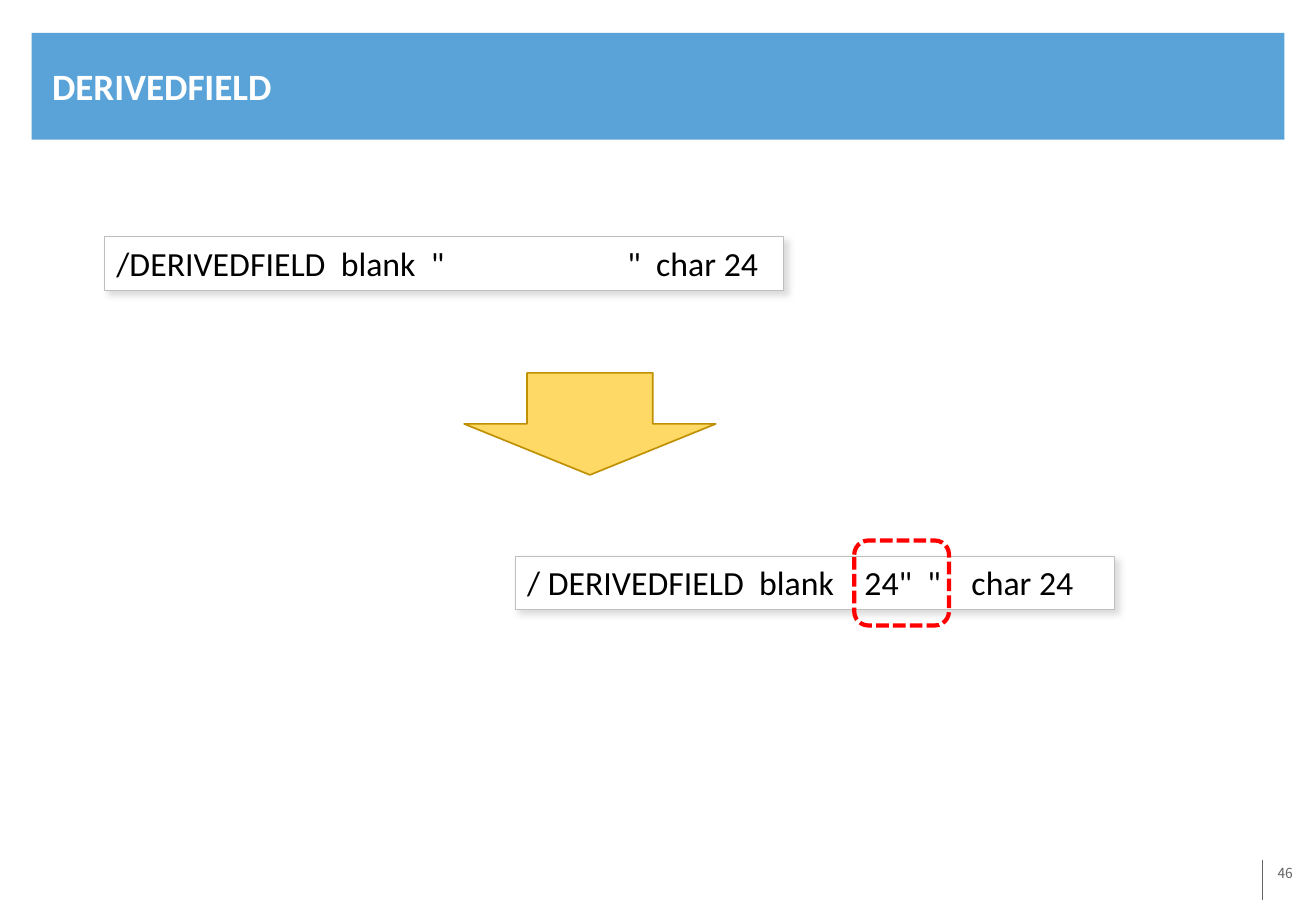
from dataclasses import dataclass

from lxml import etree
from pptx import Presentation
from pptx import util as u
from pptx.dml.color import RGBColor
from pptx.enum import dml, shapes, text
from pptx.oxml import ns

PX = 9144  # 100 px to the inch
COLORS = {
    "banner": "5AA3D9", "white": "FFFFFF", "black": "000000",
    "footer": "636467", "box_line": "BFBFBF", "shadow": "A6A6A6",
    "arrow": "FFD966", "arrow_line": "BF9000", "mark": "FF0000",
}
FIELD_WIDTH = 24


@dataclass(frozen=True)
class Box:
    left: int
    top: int
    width: int
    height: int

    def emu(self) -> list[int]:
        return [v * PX for v in (self.left, self.top, self.width, self.height)]


@dataclass(frozen=True)
class Statement:
    box: Box
    code: str
    wrap: bool


STATEMENTS = [
    Statement(Box(86, 195, 559, 44),
              f'/DERIVEDFIELD  blank  "{" " * FIELD_WIDTH}"  char 24', False),
    Statement(Box(424, 458, 493, 44),
              '/ DERIVEDFIELD  blank    24"  "    char 24', True),
]


def rgb(name: str) -> RGBColor:
    return RGBColor.from_string(COLORS[name])


def add_shape(slide, kind, box: Box, fill: str = "", line: str = "", width: float = 1):
    sp = slide.shapes.add_shape(kind, *box.emu())
    sp.shadow.inherit = False
    if fill:
        sp.fill.solid()
        sp.fill.fore_color.rgb = rgb(fill)
    else:
        sp.fill.background()
    if line:
        sp.line.color.rgb = rgb(line)
        sp.line.width = u.Pt(width)
    else:
        sp.line.fill.background()
    return sp


def write(sp, content: str, *, size: float, color: str, font: str = "Calibri",
          bold: bool = False, align=text.PP_ALIGN.LEFT,
          anchor=text.MSO_ANCHOR.TOP, wrap: bool = True) -> None:
    tf = sp.text_frame
    tf.word_wrap = wrap
    tf.vertical_anchor = anchor
    p = tf.paragraphs[0]
    p.alignment = align
    r = p.add_run()
    r.text = content
    r.font.size = u.Pt(size)
    r.font.name = font
    r.font.bold = bold
    r.font.color.rgb = rgb(color)
    ea = etree.SubElement(r.font._element, ns.qn("a:ea"))
    ea.set("typeface", font)


def add_soft_shadow(sp) -> None:
    effects = sp._element.spPr.find(ns.qn("a:effectLst"))
    shadow = etree.SubElement(effects, ns.qn("a:outerShdw"), blurRad=str(u.Pt(4)),
                              dist=str(u.Pt(3)), dir=str(45 * 60000),
                              algn="tl", rotWithShape="0")
    color = etree.SubElement(shadow, ns.qn("a:srgbClr"), val=COLORS["shadow"])
    etree.SubElement(color, ns.qn("a:alpha"), val="40000")


def add_banner(slide) -> None:
    add_shape(slide, shapes.MSO_SHAPE.RECTANGLE, Box(26, 27, 1031, 88), "banner")
    title = slide.shapes.add_textbox(*Box(33, 31, 1020, 79).emu())
    write(title, "DERIVEDFIELD", size=22, color="white", bold=True,
          anchor=text.MSO_ANCHOR.MIDDLE)


def add_footer(slide) -> None:
    number = slide.shapes.add_textbox(*Box(888, 708, 183, 50).emu())
    tf = number.text_frame
    tf.margin_left = tf.margin_right = 7 * PX
    tf.margin_top = tf.margin_bottom = 4 * PX
    write(number, "46", size=8.2, color="footer", font="Noto Sans CJK KR",
          align=text.PP_ALIGN.RIGHT)
    rule = slide.shapes.add_connector(shapes.MSO_CONNECTOR.STRAIGHT,
                                      1039 * PX, 708 * PX, 1039 * PX, 741 * PX)
    rule.line.color.rgb = rgb("footer")
    rule.line.width = u.Pt(0.75)
    etree.SubElement(rule._element.spPr, ns.qn("a:effectLst"))


def add_statement(slide, statement: Statement) -> None:
    sp = add_shape(slide, shapes.MSO_SHAPE.RECTANGLE, statement.box,
                   "white", "box_line", 0.75)
    add_soft_shadow(sp)
    write(sp, statement.code, size=20, color="black", wrap=statement.wrap)
    sp.text_frame.auto_size = text.MSO_AUTO_SIZE.SHAPE_TO_FIT_TEXT


def main() -> None:
    prs = Presentation()
    prs.slide_width, prs.slide_height = 1083 * PX, 750 * PX
    s = prs.slides.add_slide(prs.slide_layouts[6])
    add_banner(s)
    add_footer(s)
    for statement in STATEMENTS:
        add_statement(s, statement)
    add_shape(s, shapes.MSO_SHAPE.DOWN_ARROW, Box(382, 307, 207, 84),
              "arrow", "arrow_line")
    mark = add_shape(s, shapes.MSO_SHAPE.ROUNDED_RECTANGLE, Box(703, 445, 78, 70),
                     line="mark", width=2.5)
    mark.line.dash_style = dml.MSO_LINE.SQUARE_DOT
    prs.save("out.pptx")


if __name__ == "__main__":
    main()
